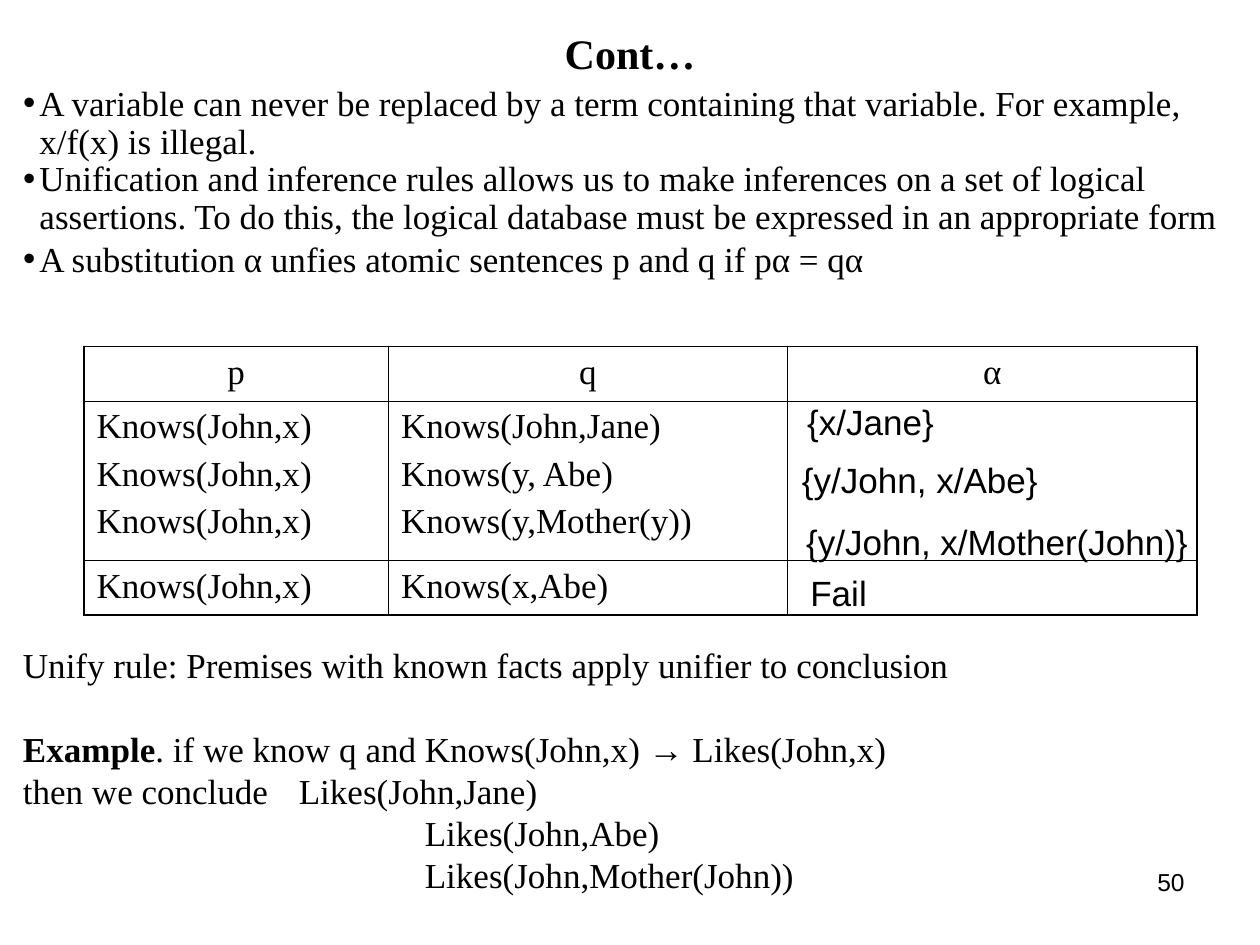
from dataclasses import dataclass
from lxml.etree import SubElement
from pptx import Presentation
from pptx.dml.color import RGBColor
from pptx.enum.text import MSO_ANCHOR, MSO_AUTO_SIZE, PP_ALIGN
from pptx.oxml import parse_xml
from pptx.oxml.ns import nsdecls, qn
from pptx.util import Inches, Pt


@dataclass
class Theme:
    ink: str = "000000"
    serif: str = "Times New Roman"
    sans: str = "Arial"
    head: float = 24
    text: float = 20
    small: float = 14
    thick: float = 1.08
    thin: float = 0.45
    gap: float = 5


class Page:
    """Places elements on a grid of 120 columns by 90 rows."""

    def __init__(self, deck, theme):
        self.theme = theme
        self.wide, self.high = deck.slide_width / 120, deck.slide_height / 90
        self.slide = deck.slides.add_slide(deck.slide_layouts[1])

    def area(self, col, row, cols, rows):
        return (round(col * self.wide), round(row * self.high),
                round(cols * self.wide), round(rows * self.high))

    def move(self, shape, area):
        shape.left, shape.top, shape.width, shape.height = self.area(*area)

    def style(self, para, face=None, size=None, bold=False):
        for run in para.runs:
            font = run.font
            font.name = face or self.theme.serif
            font.size = Pt(size or self.theme.text)
            font.bold = bold
            font.color.rgb = RGBColor.from_string(self.theme.ink)

    def title(self, text, area):
        shape = self.slide.shapes.title
        self.move(shape, area)
        frame = shape.text_frame
        frame.text = text
        frame.auto_size = MSO_AUTO_SIZE.NONE
        frame.vertical_anchor = MSO_ANCHOR.MIDDLE
        para = frame.paragraphs[0]
        para.alignment = PP_ALIGN.CENTER
        self.style(para, size=self.theme.head, bold=True)

    def bullets(self, items, area):
        """Fill the body with (text, line spacing) pairs."""
        shape = self.slide.placeholders[1]
        self.move(shape, area)
        frame = shape.text_frame
        frame.text = "\n".join(text for text, _ in items)
        frame.auto_size = MSO_AUTO_SIZE.NONE
        for para, (_, space) in zip(frame.paragraphs, items):
            para.space_before = Pt(0)
            para.line_spacing = space
            props = para._p.get_or_add_pPr()
            props.set("marL", str(Inches(0.13)))
            props.set("indent", str(-Inches(0.13)))
            self.style(para)

    def label(self, text, area, face=None, size=None, before=0, align=PP_ALIGN.LEFT):
        frame = self.slide.shapes.add_textbox(*self.area(*area)).text_frame
        frame.word_wrap = True
        frame.text = text
        for para in frame.paragraphs:
            para.alignment = align
            para.space_before = Pt(before)
            self.style(para, face, size)
        return frame

    def edge(self, cell, outer):
        """Draw four cell borders, thick on the sides named in outer."""
        props = cell._tc.get_or_add_tcPr()
        for place, side in enumerate("LRTB"):
            width = Pt(self.theme.thick if side in outer else self.theme.thin)
            props.insert(place, parse_xml(
                f'<a:ln{side} {nsdecls("a")} w="{width}"><a:solidFill>'
                f'<a:srgbClr val="{self.theme.ink}"/></a:solidFill></a:ln{side}>'))

    def table(self, data, col, row, cols, rows):
        frame = self.slide.shapes.add_table(
            len(rows), len(cols), *self.area(col, row, sum(cols), sum(rows)))
        grid = frame.table
        grid.first_row = grid.horz_banding = False
        for item, size in zip(grid.columns, cols):
            item.width = round(size * self.wide)
        for item, size in zip(grid.rows, rows):
            item.height = round(size * self.high)
        for r, line in enumerate(data):
            for c, text in enumerate(line):
                cell = grid.cell(r, c)
                cell.text = text
                cell.fill.background()
                for para in cell.text_frame.paragraphs:
                    para.alignment = PP_ALIGN.LEFT if r else PP_ALIGN.CENTER
                    para.space_before = Pt(self.theme.gap)
                    self.style(para)
                ends = {"L": c == 0, "R": c == len(cols) - 1,
                        "T": r == 0, "B": r == len(rows) - 1}
                self.edge(cell, [side for side, on in ends.items() if on])


def indent(para, size):
    para._p.get_or_add_pPr().set("marL", str(Inches(size)))


def stop(para, size):
    """Add a left tab stop."""
    tabs = SubElement(para._p.get_or_add_pPr(), qn("a:tabLst"))
    SubElement(tabs, qn("a:tab"), pos=str(Inches(size)), algn="l")


def main():
    deck = Presentation()
    deck.slide_width, deck.slide_height = Inches(10), Inches(7.5)
    theme = Theme()
    page = Page(deck, theme)

    page.title("Cont…", (6, 2, 108, 6))
    page.bullets([
        ("A variable can never be replaced by a term containing that variable. "
         "For example, x/f(x) is illegal.", 0.9),
        ("Unification and inference rules allows us to make inferences on a set of "
         "logical assertions. To do this, the logical database must be expressed in "
         "an appropriate form", 0.9),
        ("A substitution α unfies atomic sentences p and q if pα = qα", 1.0),
    ], (1, 7.6, 117, 66.4))

    known = "Knows(John,x)"
    page.table([
        ("p", "q", "α"),
        ("\n".join([known] * 3), "Knows(John,Jane)\nKnows(y, Abe)\nKnows(y,Mother(y))", ""),
        (known, "Knows(x,Abe)", ""),
    ], 8, 33, (29, 38, 39), (5.2, 15.2, 5.2))

    rule = page.label(
        "Unify rule: Premises with known facts apply unifier to conclusion\n"
        "Example\n"
        "then we conclude\tLikes(John,Jane)\n"
        "Likes(John,Abe)\n"
        "Likes(John,Mother(John))", (1, 60.7, 118, 25.2))
    _, case, first, *rest = rule.paragraphs
    case.space_before = Pt(theme.head)
    case.add_run().text = ". if we know q and Knows(John,x) → Likes(John,x)"
    page.style(case)
    case.runs[0].font.bold = True
    stop(first, 2.19)
    for para in rest:
        indent(para, 3.19)

    for text, col, row, cols in (
        ("{x/Jane}", 75.7, 37.6, 17),
        ("{y/John, x/Abe}", 75.2, 43.1, 32.5),
        ("{y/John, x/Mother(John)}", 75.6, 49, 41),
        ("Fail", 76, 53.8, 17),
    ):
        page.label(text, (col, row, cols, 5.3), theme.sans, before=theme.gap)
    page.label("50", (86, 82, 28, 6.2), theme.sans, theme.small, align=PP_ALIGN.RIGHT)

    deck.save("out.pptx")


if __name__ == "__main__":
    main()
